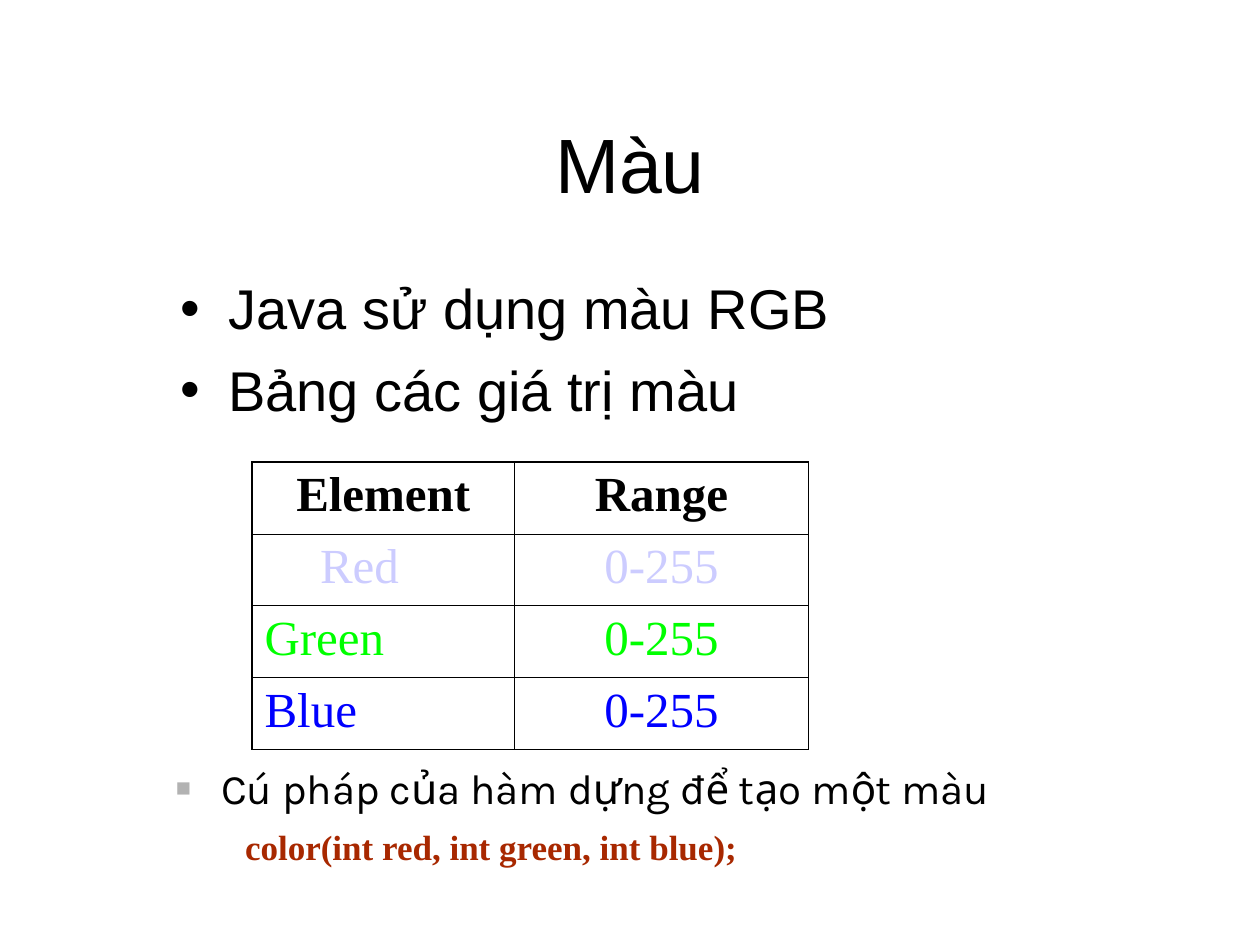
import dataclasses
import typing

import lxml.etree
import pptx
import pptx.dml.color
import pptx.enum.text
import pptx.oxml.ns
import pptx.util

Align = pptx.enum.text.PP_ALIGN
Anchor = pptx.enum.text.MSO_ANCHOR
qn = pptx.oxml.ns.qn

COLS, ROWS = 120, 90
WIDE, HIGH = pptx.util.Inches(10), pptx.util.Inches(7.5)


@dataclasses.dataclass(frozen=True)
class Theme:
    sans: str = "Arial"
    serif: str = "Times New Roman"
    note: str = "Karla"
    ink: str = "000000"
    mark: str = "B2B2B2"
    code: str = "A82800"
    red: str = "CCCCFF"
    green: str = "00FF00"
    blue: str = "0000FF"
    title: int = 44
    body: int = 32
    cell: int = 28
    hint: int = 24
    small: int = 20
    thick: float = 1.08
    thin: float = 0.45


THEME = Theme()


@dataclasses.dataclass(frozen=True)
class Bullet:
    sign: str
    color: str
    share: int = 100


@dataclasses.dataclass(frozen=True)
class Line:
    text: str
    size: float
    face: str
    color: str = THEME.ink
    bold: bool = False
    align: typing.Any = Align.JUSTIFY
    left: float = 0
    hang: float = 0
    gap: float = 0
    bullet: typing.Optional[Bullet] = None


@dataclasses.dataclass(frozen=True)
class Box:
    col: float
    row: float
    cols: float
    rows: float

    def place(self) -> tuple[int, int, int, int]:
        return (across(self.col), down(self.row),
                across(self.cols), down(self.rows))


def across(cols: float) -> int:
    return round(WIDE * cols / COLS)


def down(rows: float) -> int:
    return round(HIGH * rows / ROWS)


def rgb(code: str) -> pptx.dml.color.RGBColor:
    return pptx.dml.color.RGBColor.from_string(code)


def add_bullet(props: typing.Any, bullet: Bullet) -> None:
    """Put the bullet ahead of the default font, as the schema asks."""
    tint = lxml.etree.Element(qn("a:buClr"))
    lxml.etree.SubElement(tint, qn("a:srgbClr"), val=bullet.color)
    size = lxml.etree.Element(qn("a:buSzPct"), val=str(bullet.share * 1000))
    face = lxml.etree.Element(qn("a:buFont"), typeface=THEME.sans)
    sign = lxml.etree.Element(qn("a:buChar"), char=bullet.sign)
    font = props.find(qn("a:defRPr"))
    for part in (tint, size, face, sign):
        font.addprevious(part)


def write(frame: typing.Any, lines: typing.Sequence[Line]) -> None:
    frame.word_wrap = True
    for i, line in enumerate(lines):
        para = frame.paragraphs[0] if i == 0 else frame.add_paragraph()
        para.text = line.text
        para.alignment = line.align
        para.space_before = pptx.util.Pt(line.gap)
        font = para.font
        font.name, font.size = line.face, pptx.util.Pt(line.size)
        font.bold = line.bold
        font.color.rgb = rgb(line.color)
        props = para._p.get_or_add_pPr()
        props.set("marL", str(pptx.util.Inches(line.left)))
        props.set("indent", str(pptx.util.Inches(-line.hang)))
        if line.bullet:
            add_bullet(props, line.bullet)


def add_text(slide: typing.Any, box: Box, lines: typing.Sequence[Line]) -> None:
    write(slide.shapes.add_textbox(*box.place()).text_frame, lines)


def add_edges(cell: typing.Any, widths: dict[str, float]) -> None:
    props = cell._tc.get_or_add_tcPr()
    for i, (side, width) in enumerate(widths.items()):
        edge = lxml.etree.Element(qn(f"a:ln{side}"),
                                  w=str(pptx.util.Pt(width)))
        fill = lxml.etree.SubElement(edge, qn("a:solidFill"))
        lxml.etree.SubElement(fill, qn("a:srgbClr"), val=THEME.ink)
        props.insert(i, edge)


def add_grid(slide: typing.Any, box: Box, cols: typing.Sequence[float],
             rows: typing.Sequence[typing.Sequence[Line]]) -> None:
    """Draw a table with a thick frame and thin inner rules."""
    table = slide.shapes.add_table(len(rows), len(cols), *box.place()).table
    table.first_row = table.horz_banding = False
    for column, share in zip(table.columns, cols):
        column.width = across(share)
    for r, row in enumerate(rows):
        for c, line in enumerate(row):
            cell = table.cell(r, c)
            cell.fill.background()
            write(cell.text_frame, [line])
            outer = {"L": c == 0, "R": c == len(cols) - 1,
                     "T": r == 0, "B": r == len(rows) - 1}
            add_edges(cell, {side: THEME.thick if rim else THEME.thin
                             for side, rim in outer.items()})


def entry(text: str, color: str = THEME.ink, **rest: typing.Any) -> Line:
    return Line(text, THEME.cell, THEME.serif, color, gap=7, **rest)


def main() -> None:
    deck = pptx.Presentation()
    deck.slide_width, deck.slide_height = WIDE, HIGH
    slide = deck.slides.add_slide(deck.slide_layouts[5])

    title = slide.shapes.title
    title.left, title.top, title.width, title.height = Box(9, 8, 102, 15).place()
    title.text_frame.vertical_anchor = Anchor.MIDDLE
    write(title.text_frame,
          [Line("Màu", THEME.title, THEME.sans, align=Align.CENTER)])

    dot = Bullet("•", THEME.ink)
    add_text(slide, Box(16, 25.5, 100, 16.5), [
        Line(text, THEME.body, THEME.sans, left=0.38, hang=0.38, gap=8, bullet=dot)
        for text in ("Java sử dụng màu RGB", "Bảng các giá trị màu")])

    heads = [entry(text, bold=True, align=Align.CENTER)
             for text in ("Element", "Range")]
    hues = (("Red", THEME.red, 0.44), ("Green", THEME.green, 0),
            ("Blue", THEME.blue, 0))
    body = [[entry(name, hue, align=Align.LEFT, left=left),
             entry("0-255", hue, align=Align.CENTER)]
            for name, hue, left in hues]
    add_grid(slide, Box(24, 44, 53, 27.4), (25, 28), [heads, *body])

    add_text(slide, Box(8, 72, 109, 15.25), [
        Line("Cú pháp của hàm dựng để tạo một màu", THEME.hint, THEME.note,
             left=0.99, hang=0.36, bullet=Bullet("■", THEME.mark, 60)),
        Line("color(int red, int green, int blue);", THEME.small, THEME.serif,
             THEME.code, bold=True, left=1.18, gap=7.5)])

    deck.save("out.pptx")


if __name__ == "__main__":
    main()
